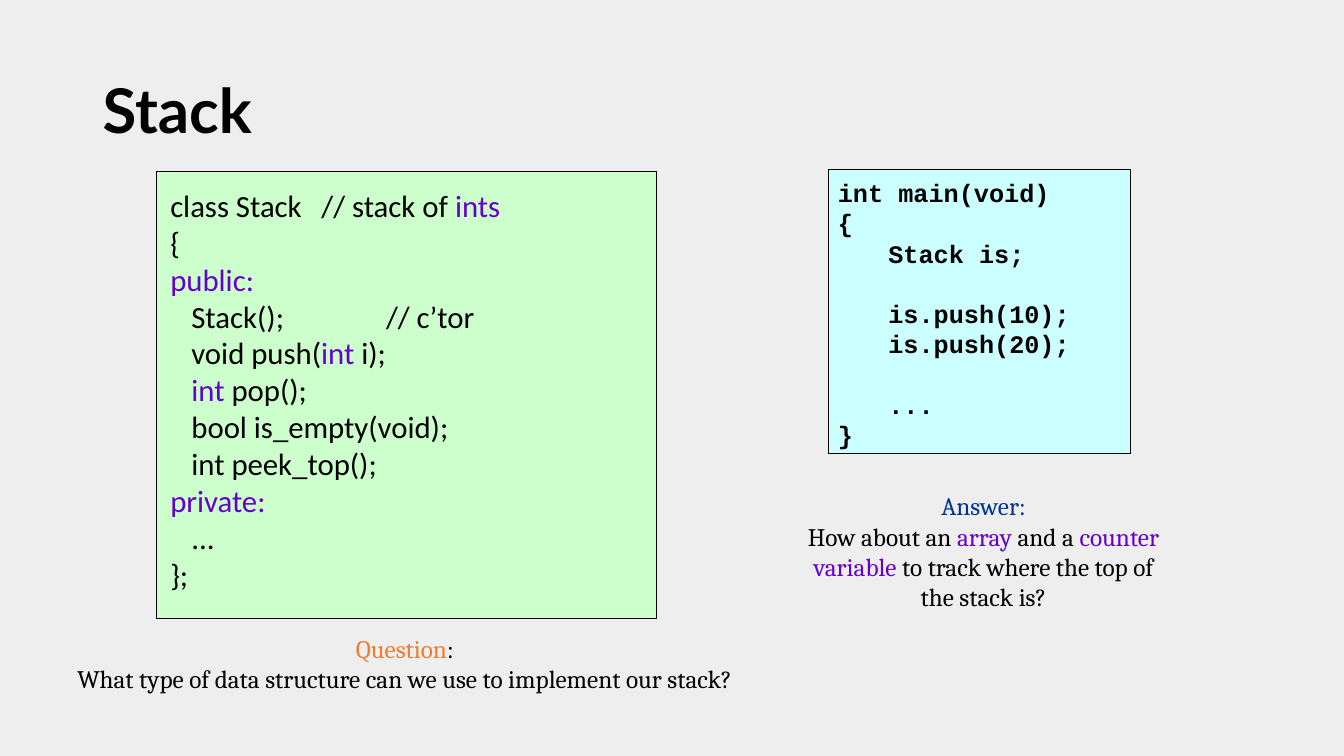
"""Build the Stack slide: class declaration, usage example, question and answer."""
import pptx
import pptx.dml.color
import pptx.enum.text
import pptx.enum.shapes
import pptx.oxml.ns
import pptx.util
from lxml import etree

THEME = {
    "page": "EEEEEE", "text": "000000", "key": "6600CC",
    "question": "ED7D31", "answer": "003399",
    "class_fill": "CCFFCC", "main_fill": "CCFFFF",
    "title_size": 44, "code_size": 22, "body_size": 18, "leading": 1.2,
}

TITLE = [["Stack"]]
CLASS_CODE = [
    ["class Stack\t// stack of ", ("ints", "key")],
    ["{"],
    [("public:", "key")],
    ["\tStack();\t// c’tor"],
    ["\tvoid push(", ("int", "key"), " i);"],
    [("\tint", "key"), " pop();"],
    ["\tbool is_empty(void);"],
    ["\tint peek_top();"],
    [("private:", "key")],
    ["\t..."],
    ["};"],
]
MAIN_CODE = [
    ["int main(void)"],
    ["{"],
    ["\tStack is;"],
    ["\tis.push(10);"],
    ["\tis.push(20);"],
    ["\t..."],
    ["}"],
]
QUESTION = [
    [("Question", "question"), ":"],
    ["What type of data structure can we use to implement our stack?"],
]
ANSWER = [
    [("Answer:", "answer")],
    ["How about an ", ("array ", "key"), "and a ", ("counter variable", "key"),
     " to track where the top of the stack is?"],
]

PANELS = [
    ((11.63, 22.67, 37.21, 59.07), "class_fill"),
    ((61.59, 22.4, 22.51, 37.6), "main_fill"),
]
TEXTS = [
    (TITLE, (6.9, 5.33, 86.27, 19.33),
     dict(font="Lato", size="title_size", bold=True, anchor="MIDDLE", leading=0.9)),
    (QUESTION, (3.3, 83.73, 57.91, 8.13),
     dict(font="Cambria", align="CENTER", insets=(0, 0, 0.57, 0))),
    (CLASS_CODE, (11.93, 24, 36.91, 55.07),
     dict(font="Calibri", size="code_size", flush_tabs=(1.5,), indent_tabs=(0.21, 2.14))),
    (MAIN_CODE, (57.84, 22.4, 29.41, 41.33),
     dict(font="Courier New", bold=True, insets=(0.6, 0.08, 0.1, 0.05),
          indent_tabs=(0.5,), gaps_before=(3, 5))),
    (ANSWER, (59.19, 64.27, 27.98, 17.47), dict(font="Cambria", align="CENTER")),
]

prs = pptx.Presentation()
prs.slide_width = pptx.util.Inches(13.33)
prs.slide_height = pptx.util.Inches(7.5)
slide = prs.slides.add_slide(prs.slide_layouts[6])


def rgb(name):
    return pptx.dml.color.RGBColor.from_string(THEME[name])


def place(percent):
    sides = (prs.slide_width, prs.slide_height) * 2
    return [round(side * share / 100) for side, share in zip(sides, percent)]


def set_tabs(p, stops):
    qn = pptx.oxml.ns.qn
    tabs = etree.SubElement(p._p.get_or_add_pPr(), qn("a:tabLst"))
    for stop in stops:
        etree.SubElement(tabs, qn("a:tab"), pos=str(pptx.util.Inches(stop)), algn="l")


def add_text(lines, percent, *, font, size="body_size", bold=False, align="LEFT",
             anchor="TOP", insets=(0.1, 0.05, 0.1, 0.05), leading=None,
             flush_tabs=(), indent_tabs=(), gaps_before=()):
    tf = slide.shapes.add_textbox(*place(percent)).text_frame
    tf.word_wrap = True
    tf.vertical_anchor = pptx.enum.text.MSO_ANCHOR[anchor]
    tf.margin_left, tf.margin_top, tf.margin_right, tf.margin_bottom = map(
        pptx.util.Inches, insets)
    line_height = pptx.util.Pt(THEME[size] * THEME["leading"])
    for i, line in enumerate(lines):
        p = tf.add_paragraph() if i else tf.paragraphs[0]
        p.alignment = pptx.enum.text.PP_ALIGN[align]
        p.line_spacing = leading or line_height
        if i in gaps_before:
            p.space_before = line_height
        for part in line:
            text, color = (part, "text") if isinstance(part, str) else part
            r = p.add_run()
            r.text = text
            r.font.name = font
            r.font.size = pptx.util.Pt(THEME[size])
            r.font.bold = bold
            r.font.color.rgb = rgb(color)
        stops = indent_tabs if p.text.startswith("\t") else flush_tabs
        if stops:
            set_tabs(p, stops)


slide.background.fill.solid()
slide.background.fill.fore_color.rgb = rgb("page")

for percent, fill in PANELS:
    sp = slide.shapes.add_shape(pptx.enum.shapes.MSO_SHAPE.RECTANGLE, *place(percent))
    sp.shadow.inherit = False
    sp.fill.solid()
    sp.fill.fore_color.rgb = rgb(fill)
    sp.line.color.rgb = rgb("text")
    sp.line.width = pptx.util.Pt(0.25)

for lines, percent, style in TEXTS:
    add_text(lines, percent, **style)

prs.save("out.pptx")
